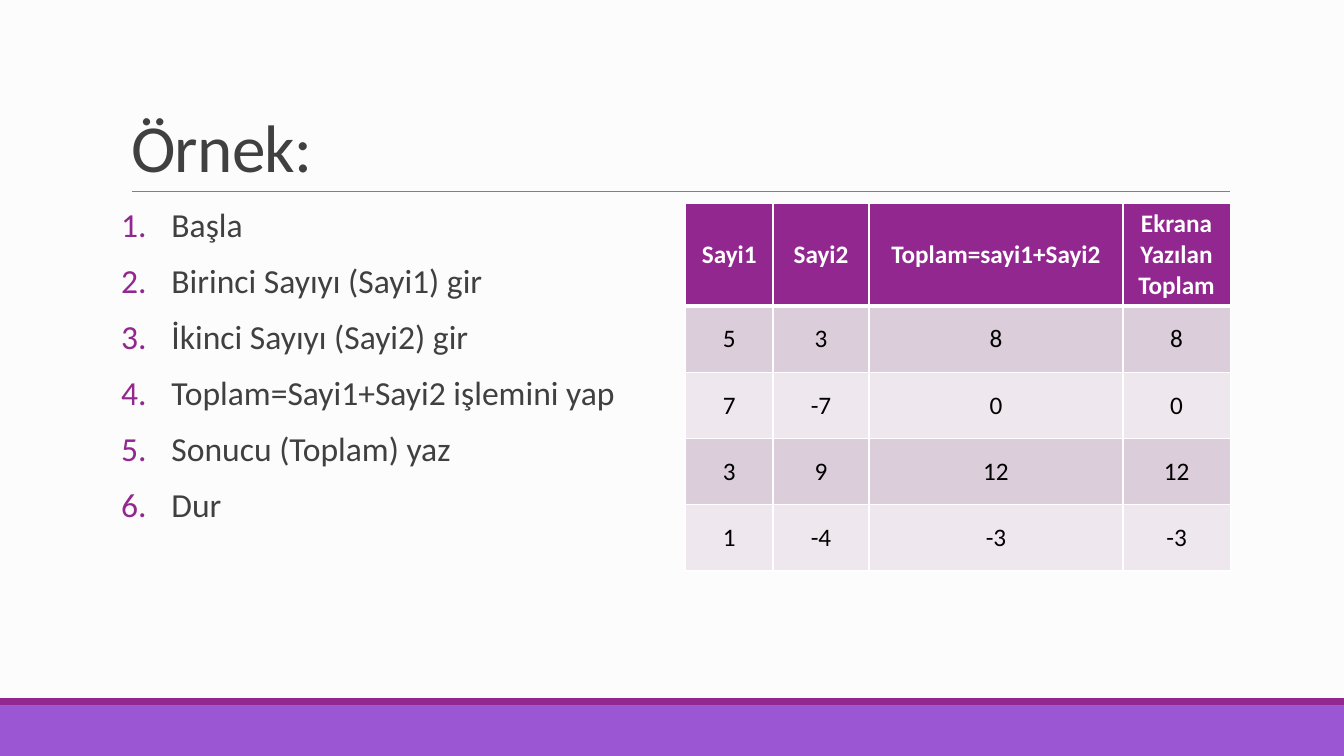
from pptx import Presentation
from pptx.dml.color import RGBColor
from pptx.enum.shapes import MSO_CONNECTOR, MSO_SHAPE
from pptx.enum.text import MSO_ANCHOR, MSO_AUTO_SIZE, PP_ALIGN
from pptx.oxml import parse_xml
from pptx.oxml.ns import nsdecls
from pptx.util import Cm, Pt

HUES = {
    "back": "FCFCFC", "band": "9B57D3", "accent": "92278F", "rule": "808080",
    "text": "404040", "white": "FFFFFF", "black": "000000",
    "odd": "DCCDDB", "even": "EEE8EE",
}


def color(name):
    return RGBColor.from_string(HUES[name])


def node(tag, rest):
    return parse_xml(f"<a:{tag} {nsdecls('a')} {rest}")


def solid(name):
    return f'<a:solidFill><a:srgbClr val="{HUES[name]}"/></a:solidFill>'


class Deck:
    font = "Calibri"

    def __init__(self, wide, high):
        self.show = Presentation()
        self.show.slide_width, self.show.slide_height = Cm(wide), Cm(high)
        self.slide = self.show.slides.add_slide(self.show.slide_layouts[1])
        fill = self.slide.background.fill
        fill.solid()
        fill.fore_color.rgb = color("back")

    def run(self, para, text, size, hue, bold=False):
        run = para.add_run()
        run.text = text
        run.font.name, run.font.size, run.font.bold = self.font, Pt(size), bold
        run.font.color.rgb = color(hue)
        return run

    def bar(self, box, hue):
        shape = self.slide.shapes.add_shape(MSO_SHAPE.RECTANGLE, *map(Cm, box))
        shape.shadow.inherit = False
        shape.fill.solid()
        shape.fill.fore_color.rgb = color(hue)
        shape.line.fill.background()

    def rule(self, left, right, top, hue):
        line = self.slide.shapes.add_connector(
            MSO_CONNECTOR.STRAIGHT, Cm(left), Cm(top), Cm(right), Cm(top))
        line.line.color.rgb = color(hue)
        line.line.width = Pt(0.5)
        line._element.spPr.append(node("effectLst", "/>"))

    def place(self, holder, box, anchor):
        holder.left, holder.top, holder.width, holder.height = map(Cm, box)
        frame = holder.text_frame
        frame.word_wrap = True
        frame.auto_size = MSO_AUTO_SIZE.NONE
        frame.vertical_anchor = anchor
        return frame

    def title(self, text, box):
        frame = self.place(self.slide.shapes.title, box, MSO_ANCHOR.BOTTOM)
        para = frame.paragraphs[0]
        para.alignment = PP_ALIGN.LEFT
        para.line_spacing = 0.85
        run = self.run(para, text, 48, "text")
        run.font._element.set("spc", "-50")

    def steps(self, lines, box):
        frame = self.place(self.slide.placeholders[1], box, MSO_ANCHOR.TOP)
        frame.margin_left = frame.margin_right = 0
        for num, text in enumerate(lines):
            para = frame.add_paragraph() if num else frame.paragraphs[0]
            para.line_spacing = 0.9
            para.space_before, para.space_after = Pt(12), Pt(2)
            self.run(para, text, 24, "text")
            props = para._p.get_or_add_pPr()
            props.set("marL", str(Cm(1.27)))
            props.set("indent", str(-Cm(1.27)))
            props.append(node(
                "buClr", f'><a:srgbClr val="{HUES["accent"]}"/></a:buClr>'))
            props.append(node("buFont", 'typeface="+mj-lt"/>'))
            props.append(node("buAutoNum", 'type="arabicPeriod"/>'))

    def cell(self, cell, text, fill, hue, head, below):
        cell.vertical_anchor = MSO_ANCHOR.MIDDLE
        para = cell.text_frame.paragraphs[0]
        para.alignment = PP_ALIGN.CENTER
        self.run(para, text, 18, hue, head)
        props = cell._tc.get_or_add_tcPr()
        edges = {"L": 1, "R": 1, "T": 3 if below else 1, "B": 3 if head else 1}
        for side, width in edges.items():
            props.append(node(
                f"ln{side}", f'w="{Pt(width)}">{solid("white")}</a:ln{side}>'))
        cell.fill.solid()
        cell.fill.fore_color.rgb = color(fill)

    def table(self, data, left, top, cols, rows):
        table = self.slide.shapes.add_table(
            len(data), len(cols), Cm(left), Cm(top),
            Cm(sum(cols)), Cm(sum(rows))).table
        for col, width in zip(table.columns, cols):
            col.width = Cm(width)
        for num, (line, high) in enumerate(zip(data, rows)):
            table.rows[num].height = Cm(high)
            head = num == 0
            fill = "accent" if head else ("even", "odd")[num % 2]
            hue = "white" if head else "black"
            for pos, text in enumerate(line):
                self.cell(table.cell(num, pos), text, fill, hue, head, num == 1)


deck = Deck(33.87, 19.05)
deck.bar((0, 17.78, 33.87, 1.27), "band")
deck.bar((0, 17.59, 33.87, 0.19), "accent")
deck.rule(3.32, 31, 4.83, "rule")
deck.title("Örnek:", (3.05, 0.78, 27.94, 4.04))
deck.steps([
    "Başla",
    "Birinci Sayıyı (Sayi1) gir",
    "İkinci Sayıyı (Sayi2) gir",
    "Toplam=Sayi1+Sayi2 işlemini yap",
    "Sonucu (Toplam) yaz",
    "Dur",
], (3.05, 5.13, 13.72, 11.18))

pairs = [(5, 3), (7, -7), (3, 9), (1, -4)]
data = [["Sayi1", "Sayi2", "Toplam=sayi1+Sayi2", "Ekrana Yazılan Toplam"]]
data += [[str(n) for n in (a, b, a + b, a + b)] for a, b in pairs]
deck.table(data, 17.28, 5.13, [2.2, 2.42, 6.4, 2.7], [2.53] + [1.67] * 4)
deck.show.save("out.pptx")
